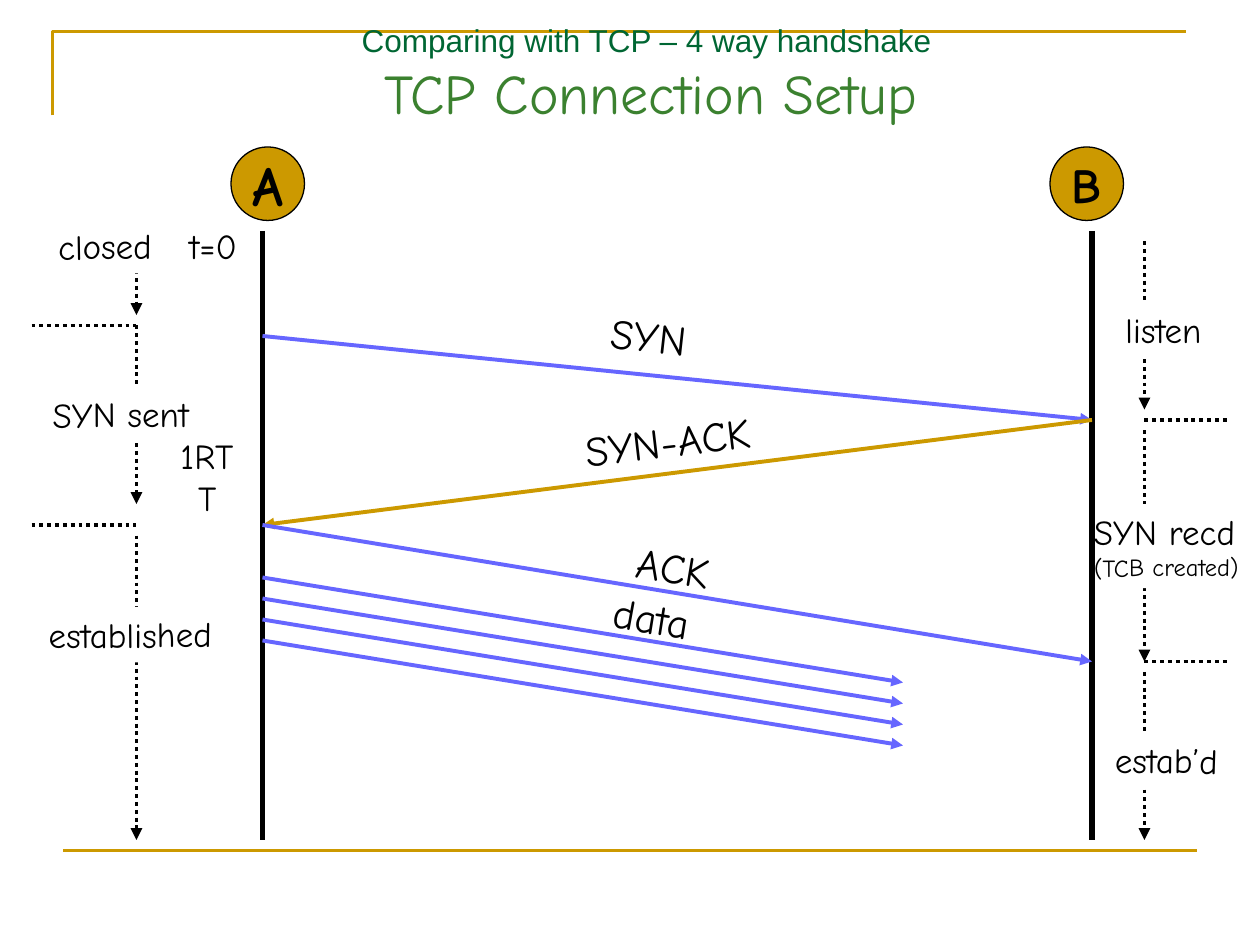
from lxml import etree
from pptx import Presentation
from pptx.dml.color import RGBColor
from pptx.enum.dml import MSO_LINE
from pptx.enum.shapes import MSO_CONNECTOR, MSO_SHAPE
from pptx.enum.text import MSO_ANCHOR, PP_ALIGN
from pptx.oxml.ns import qn
from pptx.util import Inches, Pt

STRAIGHT = MSO_CONNECTOR.STRAIGHT
DOTTED = MSO_LINE.ROUND_DOT  # written as sysDot
RECTANGLE, OVAL = MSO_SHAPE.RECTANGLE, MSO_SHAPE.OVAL
TOP, MIDDLE = MSO_ANCHOR.TOP, MSO_ANCHOR.MIDDLE
LEFT, CENTER = PP_ALIGN.LEFT, PP_ALIGN.CENTER

COLORS = {
    "gold": "CC9900", "black": "000000", "white": "FFFFFF",
    "blue": "6666FF", "dark green": "006633", "green": "3B812F",
}
HAND = "Comic Neue"

# Grid of 120 columns by 90 rows, twelve to the inch
CELL = Inches(1) // 12
HOST_A, HOST_B = 25, 104
STATES_A, STATES_B = 13, 109
TOP_ROW, BOTTOM_ROW = 22, 80
LABEL_HEIGHT = 5.3


def grid(*lengths):
    return [round(length * CELL) for length in lengths]


def color(name):
    return RGBColor.from_string(COLORS[name])


def add_line(page, start, end, name, width, dotted=False, arrow=False):
    line = page.shapes.add_connector(STRAIGHT, *grid(*start, *end))
    line.line.color.rgb = color(name)
    line.line.width = Pt(width)
    if dotted:
        line.line.dash_style = DOTTED
    if arrow:
        outline = line.line._get_or_add_ln()
        etree.SubElement(outline, qn("a:tailEnd"), type="triangle")
    etree.SubElement(line._element.spPr, qn("a:effectLst"))


def write(box, rows, align=CENTER, anchor=TOP, wrap=True, bold=False):
    """Fill a box with rows of (text, size, font, colour)."""
    frame = box.text_frame
    frame.word_wrap = wrap
    frame.vertical_anchor = anchor
    for index, (text, size, font, name) in enumerate(rows):
        para = frame.add_paragraph() if index else frame.paragraphs[0]
        para.text = text
        para.alignment = align
        para.font.size = Pt(size)
        para.font.name = font
        para.font.bold = bold
        para.font.color.rgb = color(name)


def add_label(page, place, rows, turn=0, **style):
    box = page.shapes.add_textbox(*grid(*place))
    box.rotation = turn
    write(box, rows, **style)


def add_state(page, place, rows, turn, align=CENTER):
    """A white patch that interrupts the dotted line behind it."""
    box = page.shapes.add_shape(RECTANGLE, *grid(*place))
    box.shadow.inherit = False
    box.fill.solid()
    box.fill.fore_color.rgb = color("white")
    box.line.fill.background()
    box.rotation = turn
    write(box, rows, align)


def add_host(page, column, name, size):
    circle = page.shapes.add_shape(OVAL, *grid(column, 14, 7, 7))
    circle.shadow.inherit = False
    circle.fill.solid()
    circle.fill.fore_color.rgb = color("gold")
    circle.line.color.rgb = color("black")
    circle.line.width = Pt(0.75)
    write(circle, [(name, size, HAND, "black")],
          anchor=MIDDLE, wrap=False, bold=True)


def add_frame(page):
    builder = page.shapes.build_freeform(*grid(5, 11))
    builder.add_line_segments([grid(5, 3), grid(113, 3)], close=False)
    corner = builder.convert_to_shape()
    corner.shadow.inherit = False
    corner.fill.background()
    corner.line.color.rgb = color("gold")
    corner.line.width = Pt(1.5)
    add_line(page, (6, 81), (114, 81), "gold", 1.5)


def add_timelines(page):
    # Dotted spans of each state, then the ticks between states
    spans = {STATES_A: [(22, 30), (31, 48), (51, 80)],
             STATES_B: [(23, 39), (41, 63), (64, 80)]}
    for column, pairs in spans.items():
        for start, end in pairs:
            add_line(page, (column, start), (column, end),
                     "black", 2.25, dotted=True, arrow=True)
    ticks = [(3, STATES_A, 31), (3, STATES_A, 50),
             (STATES_B, 117, 40), (STATES_B, 117, 63)]
    for start, end, row in ticks:
        add_line(page, (start, row), (end, row), "black", 2.25, dotted=True)


def add_states(page):
    states = [
        ("closed", 1, 20.8, 18, -1, CENTER),
        ("SYN sent", 1, 36.8, 21, -0.4, CENTER),
        ("established", 1.9, 57.8, 21, -0.5, CENTER),
        ("listen", 106, 28.8, 13.9, -0.3, LEFT),
        ("estab’d", 105, 69.8, 13.9, 0.5, LEFT),
    ]
    for text, column, row, width, turn, align in states:
        add_state(page, (column, row, width, LABEL_HEIGHT),
                  [(text, 20, HAND, "black")], turn, align)
    add_state(page, (103, 48, 18, 8),
              [("SYN recd", 20, HAND, "black"),
               ("(TCB created)", 14, HAND, "black")], -0.3, LEFT)
    # Times beside host A
    add_label(page, (16.8, 20.8, 7, LABEL_HEIGHT),
              [("t=0", 20, HAND, "black")], wrap=False)
    add_label(page, (15.2, 40.8, 9.1, LABEL_HEIGHT),
              [("1RTT", 20, HAND, "black")])


def add_messages(page):
    messages = [
        ((HOST_A, 32), (HOST_B, 40), "blue"),
        ((HOST_B, 40), (HOST_A, 50), "gold"),
        ((HOST_A, 50), (HOST_B, 63), "blue"),
    ]
    # Four data segments, two rows apart
    messages += [((HOST_A, row), (86, row + 10), "blue")
                 for row in range(55, 63, 2)]
    for start, end, name in messages:
        add_line(page, start, end, name, 2.25, arrow=True)
    labels = [
        ("SYN", 41.9, 29, 39.8, 6.3),
        ("SYN-ACK", 24.7, 39, 77.8, -6.8),
        ("ACK", 28.4, 51, 71.5, 9.4),
        ("data", 46.7, 55.8, 30.7, 9),
    ]
    for text, column, row, width, turn in labels:
        add_label(page, (column, row, width, 6),
                  [(text, 24, HAND, "black")], turn)


def main():
    deck = Presentation()
    deck.slide_width, deck.slide_height = grid(120, 90)
    page = deck.slides.add_slide(deck.slide_layouts[6])

    add_frame(page)
    add_timelines(page)
    add_states(page)
    # Lifelines of the two hosts
    for column in (HOST_A, HOST_B):
        add_line(page, (column, TOP_ROW), (column, BOTTOM_ROW), "black", 3)
    add_messages(page)
    add_host(page, 22, "A", 32)
    add_host(page, 100, "B", 28)
    # Title
    add_label(page, (11, 3, 102, 8),
              [("Comparing with TCP – 4 way handshake ", 18, "Arial", "dark green"),
               ("TCP Connection Setup", 32, HAND, "green")], anchor=MIDDLE)

    deck.save("out.pptx")


if __name__ == "__main__":
    main()
